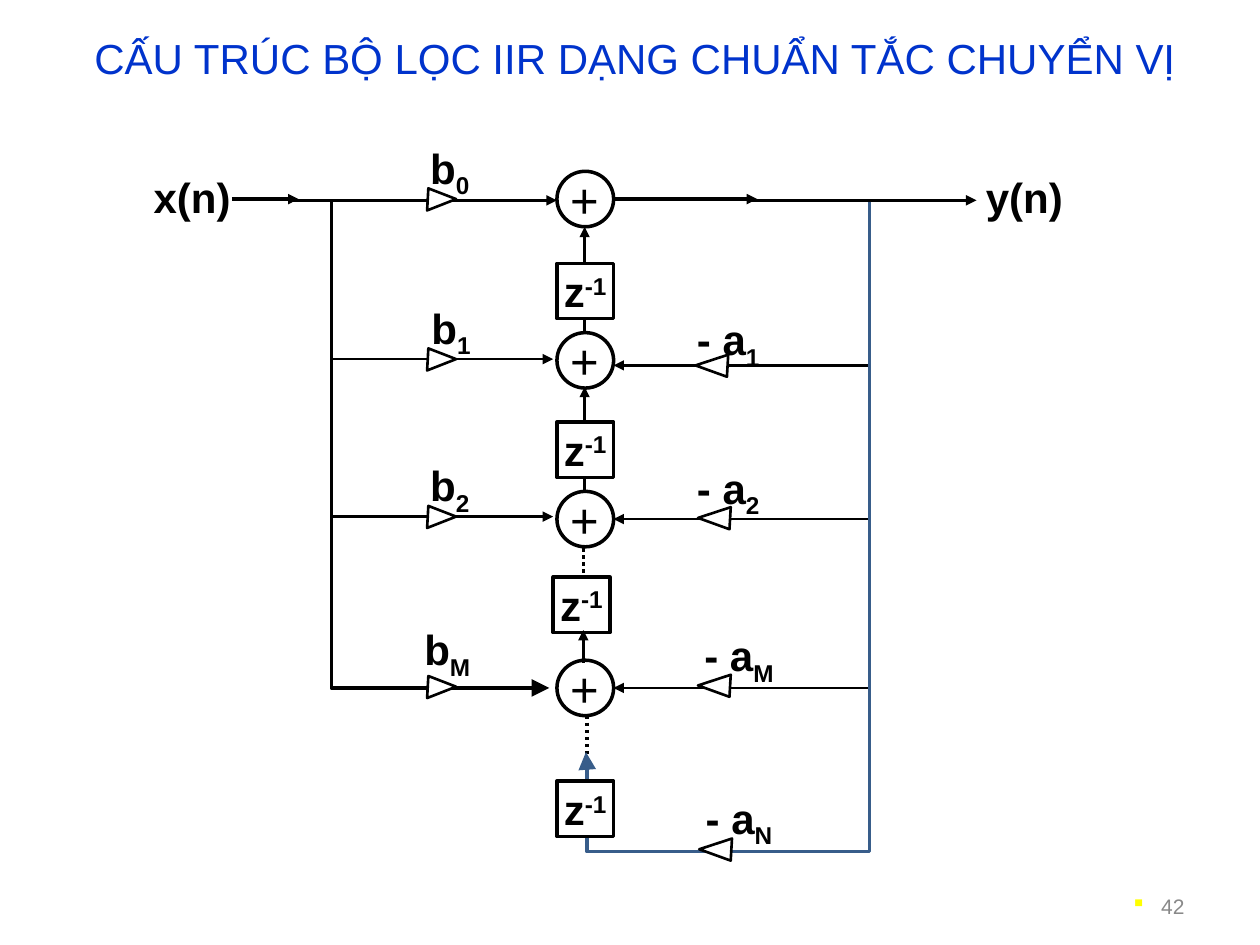
import lxml.etree
import pptx
import pptx.dml.color
import pptx.enum.dml
import pptx.enum.shapes
import pptx.enum.text
import pptx.oxml.ns
import pptx.util

RGB = pptx.dml.color.RGBColor
BLACK = RGB(0x00, 0x00, 0x00)
WHITE = RGB(0xFF, 0xFF, 0xFF)
TITLE = RGB(0x00, 0x33, 0xCC)
STEEL = RGB(0x38, 0x5D, 0x8A)
GRAY = RGB(0x89, 0x89, 0x89)
YELLOW = RGB(0xFF, 0xFF, 0x00)

SHAPE = pptx.enum.shapes.MSO_SHAPE
ALIGN = pptx.enum.text.PP_ALIGN
MIDDLE = pptx.enum.text.MSO_ANCHOR.MIDDLE
TOP = pptx.enum.text.MSO_ANCHOR.TOP
DOTS = pptx.enum.dml.MSO_LINE.ROUND_DOT
COLS, ROWS = 100, 75


def assign(obj, values):
    for name, value in values.items():
        setattr(obj, name, value)


def child(parent, tag, **attrs):
    return lxml.etree.SubElement(parent, pptx.oxml.ns.qn(tag), attrs)


class Diagram:
    """Holds the style and the slide; lengths are grid columns and rows."""

    head = {"size": pptx.util.Pt(24), "name": "Arial"}
    bold = {**head, "bold": True}
    sign = {**head, "size": pptx.util.Pt(28)}
    small = {**head, "size": pptx.util.Pt(12)}

    def __init__(self, deck):
        self.col = deck.slide_width / COLS
        self.row = deck.slide_height / ROWS
        self.slide = deck.slides.add_slide(deck.slide_layouts[5])
        self.shapes = self.slide.shapes

    def spot(self, x, y):
        return round(x * self.col), round(y * self.row)

    def area(self, x, y, w, h):
        return *self.spot(x, y), *self.spot(w, h)

    def letter(self, shape, runs, font, color=BLACK, align=ALIGN.CENTER,
               anchor=MIDDLE, wrap=True):
        """Fill the frame with (text, baseline percent) runs."""
        frame = shape.text_frame
        assign(frame, {"word_wrap": wrap, "vertical_anchor": anchor,
                       "auto_size": pptx.enum.text.MSO_AUTO_SIZE.NONE})
        para = frame.paragraphs[0]
        para.alignment = align
        for text, base in runs:
            run = para.add_run()
            run.text = text
            assign(run.font, font)
            run.font.color.rgb = color
            if base:
                run._r.get_or_add_rPr().set("baseline", str(base * 1000))
        return para

    def title(self, text, *area):
        shape = self.shapes.title
        names = ("left", "top", "width", "height")
        assign(shape, dict(zip(names, self.area(*area))))
        self.letter(shape, [(text, 0)], self.head, TITLE)

    def number(self, text, *area):
        box = self.shapes.add_textbox(*self.area(*area))
        para = self.letter(box, [(text, 0)], self.small, GRAY, ALIGN.RIGHT)
        assign(para, {"line_spacing": 1.4, "space_before": pptx.util.Pt(3)})
        props = para._p.get_or_add_pPr()
        gap = round(2.4 * self.col)
        props.set("marL", str(gap))
        props.set("indent", str(-gap))
        child(child(props, "a:buClr"), "a:srgbClr", val=str(YELLOW))
        child(props, "a:buChar", char="▪")

    def label(self, x, y, w, text, sub=""):
        box = self.shapes.add_textbox(*self.area(x, y, w, 5.6 if sub else 5))
        runs = [(text, 0), (sub, -25)] if sub else [(text, 0)]
        self.letter(box, runs, self.bold, anchor=TOP)

    def stroke(self, shape, width, color=BLACK, dash=None, tip=None):
        line = shape.line
        line.color.rgb = color
        assign(line, {"width": pptx.util.Pt(width), "dash_style": dash})
        if tip:
            child(line._get_or_add_ln(), "a:tailEnd", type="triangle",
                  w=tip, len=tip)

    def wire(self, start, end, width=1.5, dash=None):
        kind = pptx.enum.shapes.MSO_CONNECTOR.STRAIGHT
        line = self.shapes.add_connector(
            kind, *self.spot(*start), *self.spot(*end))
        self.stroke(line, width, dash=dash, tip=None if dash else "med")
        child(line._element.spPr, "a:effectLst")

    def outline(self, points, closed):
        first, *rest = [self.spot(*point) for point in points]
        pen = self.shapes.build_freeform(*first)
        pen.add_line_segments(rest, close=closed)
        shape = pen.convert_to_shape()
        shape.shadow.inherit = False
        return shape

    def bus(self, points, color):
        shape = self.outline(points, False)
        shape.fill.background()
        self.stroke(shape, 2, color, tip="lg")

    def gain(self, x, y, reach):
        """Triangle whose tip lies reach columns from its base."""
        lean = 0.1
        shape = self.outline([(x, y + 0.9), (x + lean, y - 0.85),
                              (x + reach, y)], True)
        shape.fill.solid()
        shape.fill.fore_color.rgb = WHITE
        self.stroke(shape, 1.5)

    def block(self, kind, x, y, runs, font, solid=True):
        shape = self.shapes.add_shape(kind, *self.area(x, y, 4.5, 4.4))
        shape.shadow.inherit = False
        if solid:
            shape.fill.solid()
            shape.fill.fore_color.rgb = WHITE
        else:
            shape.fill.background()
        self.stroke(shape, 2)
        self.letter(shape, runs, font, wrap=False)

    def adder(self, y, solid=False):
        self.block(SHAPE.OVAL, 44.2, y, [("+", 0)], self.sign, solid)

    def delay(self, x, y):
        self.block(SHAPE.RECTANGLE, x, y, [("z", 0), ("-1", 30)], self.bold)


def main():
    deck = pptx.Presentation()
    assign(deck, {"slide_width": pptx.util.Inches(10),
                  "slide_height": pptx.util.Inches(7.5)})
    art = Diagram(deck)
    art.title("CẤU TRÚC BỘ LỌC IIR DẠNG CHUẨN TẮC CHUYỂN VỊ",
              5.8, 1.7, 89.2, 5.8)
    art.number("42", 71.7, 69.5, 23.3, 4)

    left, mid, right = 26.3, 46.4, 69
    for start, end, y in ((18.4, 23.7, 15.8), (mid, 60.1, 15.8),
                          (59.3, 77.5, 15.9), (23, 44.2, 15.9)):
        art.wire((start, y), (end, y), 2)
    for y in (28.5, 41):
        art.wire((left, y), (43.9, y))
    for y in (29, 41.2, 54.6):
        art.wire((right, y), (48.7, y))
    for start, end in ((26.4, 18), (39, 30.7)):
        art.wire((mid, start), (mid, end))
    for x, start, end in ((46.3, 43.5, 46.2), (46.6, 56.8, 60.5)):
        art.wire((x, start), (x, end), 2, DOTS)
    art.bus([(left, 15.9), (left, 54.6), (43.6, 54.6)], BLACK)
    art.bus([(right, 16), (right, 67.6), (46.6, 67.6), (46.6, 59.7),
             (46.5, 59.7)], STEEL)

    art.adder(13.6, solid=True)
    for y in (26.4, 39, 52.4):
        art.adder(y)
    for x, y in ((44.2, 20.9), (44.2, 33.5), (43.9, 45.8), (44.2, 62)):
        art.delay(x, y)
    art.wire((46.3, 52.6), (46.3, 50))

    for sub, x, top, y in (("0", 31.9, 10.8, 15.8), ("1", 32, 23.5, 28.5),
                           ("2", 31.9, 36, 41), ("M", 31.7, 49, 54.5)):
        art.label(x, top, 7.6, "b", sub)
        art.gain(33.9, y, 2.3)
    for sub, w, top, x, y in (("1", 7.6, 24.4, 57.7, 29),
                              ("2", 7.6, 36.2, 57.9, 41.1),
                              ("M", 9.3, 49.5, 57.9, 54.4),
                              ("N", 9.3, 62.4, 58, 67.4)):
        art.label(54, top, w, "- a", sub)
        art.gain(x, y, -2.5)
    art.label(10.8, 13.1, 8.9, "x(n)")
    art.label(76.7, 13.1, 9.2, "y(n)")
    deck.save("out.pptx")


if __name__ == "__main__":
    main()
